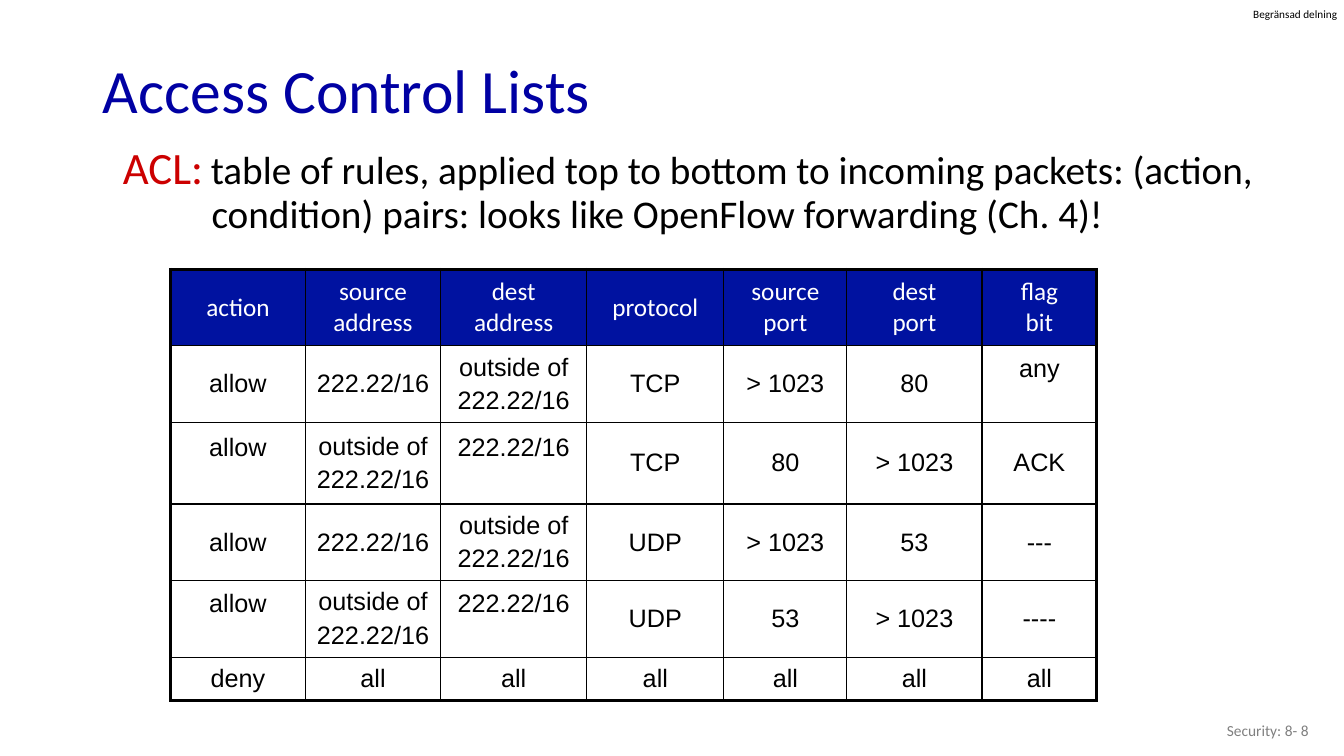
from lxml import etree
from pptx import Presentation
from pptx.dml.color import RGBColor
from pptx.enum.text import MSO_ANCHOR, PP_ALIGN
from pptx.oxml.ns import qn
from pptx.util import Inches, Pt

LEFT, CENTER, RIGHT = PP_ALIGN.LEFT, PP_ALIGN.CENTER, PP_ALIGN.RIGHT
TOP, MIDDLE = MSO_ANCHOR.TOP, MSO_ANCHOR.MIDDLE
BLACK = RGBColor(0x00, 0x00, 0x00)
WHITE = RGBColor(0xFF, 0xFF, 0xFF)
GRAY = RGBColor(0x80, 0x80, 0x80)
RED = RGBColor(0xCC, 0x00, 0x00)
TITLE_BLUE = RGBColor(0x00, 0x00, 0xA3)
HEADER_BLUE = RGBColor(0x00, 0x12, 0xA0)

TITLE_ONLY = 5
OUTER_LINE, INNER_LINE = 2.25, 1
COLUMN_WIDTHS = [1.34, 1.34, 1.45, 1.36, 1.22, 1.34, 1.14]
ROW_HEIGHTS = [0.76, 0.76, 0.81, 0.76, 0.76, 0.43]
INSIDE = "222.22/16"
OUTSIDE = "outside of\n222.22/16"
RULES = [
    ["action", "source\naddress", "dest\naddress", "protocol", "source\nport", "dest\nport", "flag\nbit"],
    ["allow", INSIDE, OUTSIDE, "TCP", "> 1023", "80", "any"],
    ["allow", OUTSIDE, INSIDE, "TCP", "80", "> 1023", "ACK"],
    ["allow", INSIDE, OUTSIDE, "UDP", "> 1023", "53", "---"],
    ["allow", OUTSIDE, INSIDE, "UDP", "53", "> 1023", "----"],
    ["deny"] + ["all"] * 6,
]
RAISED_CELLS = {(1, 6), (2, 0), (2, 2), (4, 0), (4, 2)}


def apply_format(target, values):
    """Set every attribute named in values on target."""
    for name, value in values.items():
        setattr(target, name, value)


def style_font(font, size, color, name="Calibri"):
    """Give a font its size, colour and typeface."""
    apply_format(font, {"size": Pt(size), "name": name})
    font.color.rgb = color


def add_text_box(slide, box, **frame_format):
    """Add a text box at box and return its text frame."""
    frame = slide.shapes.add_textbox(*map(Inches, box)).text_frame
    apply_format(frame, {"word_wrap": True, **frame_format})
    return frame


def add_title(slide, box):
    """Place the slide title in box."""
    title = slide.shapes.title
    edges = ("left", "top", "width", "height")
    apply_format(title, dict(zip(edges, map(Inches, box))))
    title.text = "Access Control Lists"
    apply_format(title.text_frame, {"vertical_anchor": MIDDLE, "word_wrap": True})
    heading = title.text_frame.paragraphs[0]
    apply_format(heading, {"alignment": LEFT, "line_spacing": 0.9})
    style_font(heading.font, 44, TITLE_BLUE)


def add_label(slide, box, wording, size, color, alignment, **frame_format):
    """Place a one-line label in box."""
    label = add_text_box(slide, box, **frame_format).paragraphs[0]
    apply_format(label, {"text": wording, "alignment": alignment})
    style_font(label.font, size, color)


def add_definition(slide, box):
    """Place the definition of ACL with a hanging indent in box."""
    definition = add_text_box(slide, box, vertical_anchor=TOP).paragraphs[0]
    definition.line_spacing = 0.9
    hanging = Inches(0.88)
    properties = definition._p.get_or_add_pPr()
    properties.set("marL", str(hanging))
    properties.set("indent", str(-hanging))
    for wording, size, color in (
        ("ACL:", 32, RED),
        (" ", 24, RED),
        ("table of rules, applied top to bottom to incoming packets: "
         "(action, condition) pairs: looks like OpenFlow forwarding (Ch. 4)!", 28, BLACK),
    ):
        run = definition.add_run()
        run.text = wording
        style_font(run.font, size, color)


def set_borders(cell, widths):
    """Draw the cell's left, right, top and bottom lines at the given widths."""
    properties = cell._tc.get_or_add_tcPr()
    for position, (side, width) in enumerate(zip("LRTB", widths)):
        line = etree.Element(qn(f"a:ln{side}"), w=str(Pt(width)))
        fill = etree.SubElement(line, qn("a:solidFill"))
        etree.SubElement(fill, qn("a:srgbClr"), val=str(BLACK))
        properties.insert(position, line)


def fill_cell(cell, wording, is_header, is_raised):
    """Write a rule cell and give it its fill, margins and fonts."""
    cell.text = wording
    apply_format(cell, {
        "vertical_anchor": MIDDLE,
        "margin_left": Inches(0.1),
        "margin_right": Inches(0.1),
        "margin_top": Inches(0.05),
        "margin_bottom": Inches(0.35 if is_raised else 0.05),
    })
    if is_header:
        cell.fill.solid()
        cell.fill.fore_color.rgb = HEADER_BLUE
    else:
        cell.fill.background()
    for index, line in enumerate(cell.text_frame.paragraphs):
        line.alignment = CENTER
        if index and not is_header:
            line.space_before = Pt(3.6)
        style_font(line.font, 18, WHITE if is_header else BLACK, "Calibri" if is_header else "Arial")


def add_rule_table(slide, box):
    """Place the table of access rules in box."""
    last_row, last_column = len(RULES) - 1, len(COLUMN_WIDTHS) - 1
    table = slide.shapes.add_table(len(RULES), len(COLUMN_WIDTHS), *map(Inches, box)).table
    apply_format(table, {"first_row": False, "horz_banding": False})
    for column, width in zip(table.columns, COLUMN_WIDTHS):
        column.width = Inches(width)
    for row, height in zip(table.rows, ROW_HEIGHTS):
        row.height = Inches(height)
    for r, rule in enumerate(RULES):
        for c, wording in enumerate(rule):
            cell = table.cell(r, c)
            fill_cell(cell, wording, r == 0, (r, c) in RAISED_CELLS)
            on_edge = (c == 0, c == last_column, r == 0, r == last_row)
            set_borders(cell, [OUTER_LINE if outer else INNER_LINE for outer in on_edge])


def main():
    """Build the access control list slide and save it."""
    presentation = Presentation()
    apply_format(presentation, {"slide_width": Inches(13.33), "slide_height": Inches(7.5)})
    slide = presentation.slides.add_slide(presentation.slide_layouts[TITLE_ONLY])
    no_margins = dict.fromkeys(("margin_left", "margin_top", "margin_right", "margin_bottom"), 0)
    add_label(slide, (12.43, 0.07, 0.86, 0.13), "Begränsad delning", 8, BLACK, LEFT,
              **{**no_margins, "word_wrap": False})
    add_label(slide, (10.08, 7.05, 3, 0.4), "Security: 8- 8", 11, GRAY, RIGHT, vertical_anchor=MIDDLE)
    add_title(slide, (0.92, 0.44, 11.5, 0.98))
    add_rule_table(slide, (1.69, 2.67, sum(COLUMN_WIDTHS), sum(ROW_HEIGHTS)))
    add_definition(slide, (1.12, 1.4, 11.5, 1.11))
    presentation.save("out.pptx")


if __name__ == "__main__":
    main()
